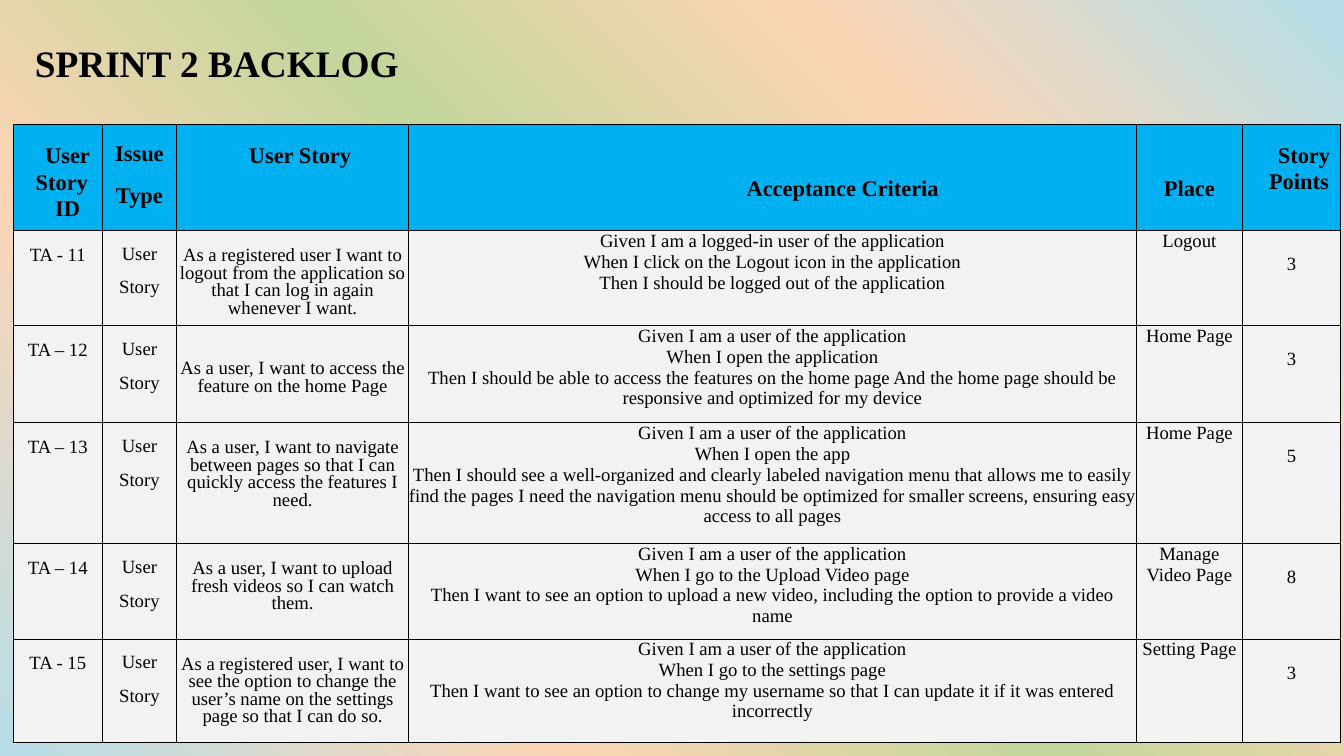
import pptx
import pptx.dml.color
import pptx.enum.text
import pptx.oxml
import pptx.oxml.ns
import pptx.util

RGBColor = pptx.dml.color.RGBColor
BLACK = RGBColor(0x00, 0x00, 0x00)
HEADER_BLUE = RGBColor(0x00, 0xB0, 0xF0)
ROW_GREY = RGBColor(0xF2, 0xF2, 0xF2)
SKY = RGBColor(0xB7, 0xDE, 0xE8)
PEACH = RGBColor(0xFC, 0xD5, 0xB5)
GREEN = RGBColor(0xC3, 0xD6, 0x9B)

BACKGROUND_STOPS = [(1, SKY), (26, PEACH), (50, GREEN), (73, PEACH), (100, SKY)]
COLUMN_WIDTHS = [13.2, 11.1, 34.5, 108.3, 15.8, 14.6]
ROW_HEIGHTS = [31.6, 28.4, 28.8, 36, 28.4, 30.8]

HEADERS = [
    dict(text="User\nStory ID", top=0.33, lines=[23.4, 1.07], indents=[(0.29, 0), (0.29, -0.17)]),
    dict(text="Issue\nType", top=0.31, lines=[22.5, 22.5], gap=22.5),
    dict(text="User Story", top=0.33, lines=[23.4], indents=[(0.22, 0)]),
    dict(text="Acceptance Criteria", top=0.78, indents=[(2.09, 0)]),
    dict(text="Place", top=0.78),
    dict(text="Story\nPoints", top=0.33, lines=[23.4, 1.0], gap=1.6, indents=[(0.37, 0), (0.22, 0)]),
]

BODY_STYLES = [
    dict(top=0.26, lines=[18.6]),
    dict(top=0.25, lines=[18.1, 18.1], gap=18.1),
    dict(top=0.26, lines=[18.9]),
    dict(gap=0.3),
    dict(),
    dict(top=0.33, lines=[23.4]),
]

STORIES = [
    ("TA - 11", "As a registered user I want to logout from the application so that I can log in again whenever I want.",
     "Given I am a logged-in user of the application\nWhen I click on the Logout icon in the application\n"
     "Then I should be logged out of the application", "Logout", "3"),
    ("TA – 12", "As a user, I want to access the feature on the home Page",
     "Given I am a user of the application\vWhen I open the application\v"
     "Then I should be able to access the features on the home page And the home page should be "
     "responsive and optimized for my device", "Home Page", "3"),
    ("TA – 13", "As a user, I want to navigate between pages so that I can quickly access the features I need.",
     "Given I am a user of the application\nWhen I open the app\n"
     "Then I should see a well-organized and clearly labeled navigation menu that allows me to easily "
     "find the pages I need the navigation menu should be optimized for smaller screens, ensuring easy "
     "access to all pages", "Home Page", "5"),
    ("TA – 14", "As a user, I want to upload fresh videos so I can watch them.",
     "Given I am a user of the application\vWhen I go to the Upload Video page\v"
     "Then I want to see an option to upload a new video, including the option to provide a video name",
     "Manage Video Page", "8"),
    ("TA - 15", "As a registered user, I want to see the option to change the user’s name on the settings "
     "page so that I can do so.",
     "Given I am a user of the application\vWhen I go to the settings page\v"
     "Then I want to see an option to change my username so that I can update it if it was entered incorrectly",
     "Setting Page", "3"),
]
STORY_TOPS = {"TA – 12": 0.52}


class BacklogSlide:
    font = "Times New Roman"
    grid_columns = 200
    grid_rows = 225

    def __init__(self, deck):
        self.deck = deck
        self.page = deck.slides.add_slide(deck.slide_layouts[6])

    def across(self, columns):
        return round(self.deck.slide_width * columns / self.grid_columns)

    def down(self, rows):
        return round(self.deck.slide_height * rows / self.grid_rows)

    def area(self, column, row, columns, rows):
        return self.across(column), self.down(row), self.across(columns), self.down(rows)

    def background(self, stops, angle):
        fill = self.page.background.fill
        fill.gradient()
        fill.gradient_angle = 360 - angle
        stop_list = self.page.background._cSld.find(".//" + pptx.oxml.ns.qn("a:gsLst"))
        for stop in list(stop_list):
            stop_list.remove(stop)
        for position, color in stops:
            stop_list.append(pptx.oxml.parse_xml(
                f'<a:gs {pptx.oxml.ns.nsdecls("a")} pos="{position * 1000}"><a:srgbClr val="{color}"/></a:gs>'))

    def style_spans(self, para, size, bold):
        for span in para.runs:
            span.font.name = self.font
            span.font.size = pptx.util.Pt(size)
            span.font.bold = bold
            span.font.color.rgb = BLACK

    def title(self, text, column, row, columns, rows):
        box = self.page.shapes.add_textbox(*self.area(column, row, columns, rows))
        box.text_frame.word_wrap = True
        box.text_frame.text = text
        self.style_spans(box.text_frame.paragraphs[0], 40, True)

    def table(self, column, row, widths, heights):
        area = self.area(column, row, sum(widths), sum(heights))
        table = self.page.shapes.add_table(len(heights), len(widths), *area).table
        table.first_row = False
        table.horz_banding = False
        for table_column, width in zip(table.columns, widths):
            table_column.width = self.across(width)
        for table_row, height in zip(table.rows, heights):
            table_row.height = self.down(height)
        return table

    def cell(self, cell, text, fill, size, bold=False, top=0, lines=(), gap=0, indents=()):
        cell.margin_left = cell.margin_right = cell.margin_bottom = 0
        cell.margin_top = pptx.util.Inches(top)
        self.borders(cell)
        cell.fill.solid()
        cell.fill.fore_color.rgb = fill
        cell.text_frame.text = text
        for index, para in enumerate(cell.text_frame.paragraphs):
            para.alignment = pptx.enum.text.PP_ALIGN.CENTER
            if index:
                para.space_before = pptx.util.Pt(gap)
            if index < len(lines):
                line = lines[index]
                para.line_spacing = pptx.util.Pt(line) if line > 5 else line
            if index < len(indents):
                margin, first = indents[index]
                properties = para._p.get_or_add_pPr()
                properties.set("marL", str(pptx.util.Inches(margin)))
                properties.set("indent", str(pptx.util.Inches(first)))
            self.style_spans(para, size, bold)

    def borders(self, cell):
        properties = cell._tc.get_or_add_tcPr()
        for side in ("lnL", "lnR", "lnT", "lnB"):
            properties.append(pptx.oxml.parse_xml(
                f'<a:{side} {pptx.oxml.ns.nsdecls("a")} w="{pptx.util.Pt(1)}">'
                f'<a:solidFill><a:srgbClr val="{BLACK}"/></a:solidFill></a:{side}>'))


def main():
    deck = pptx.Presentation()
    deck.slide_width = pptx.util.Inches(20)
    deck.slide_height = pptx.util.Inches(11.25)

    slide = BacklogSlide(deck)
    slide.background(BACKGROUND_STOPS, 135)
    slide.title("SPRINT 2 BACKLOG", 4.2, 11, 66.6, 15.4)
    table = slide.table(2, 37, COLUMN_WIDTHS, ROW_HEIGHTS)

    for column, header in enumerate(HEADERS):
        slide.cell(table.cell(0, column), fill=HEADER_BLUE, size=24, bold=True, **header)

    for row, (key, story, criteria, place, points) in enumerate(STORIES, start=1):
        texts = [key, "User\nStory", story, criteria, place, points]
        for column, (text, style) in enumerate(zip(texts, BODY_STYLES)):
            if text == story:
                style = {**style, "top": STORY_TOPS.get(key, style["top"])}
            slide.cell(table.cell(row, column), text, ROW_GREY, 20, **style)

    deck.save("out.pptx")


if __name__ == "__main__":
    main()
